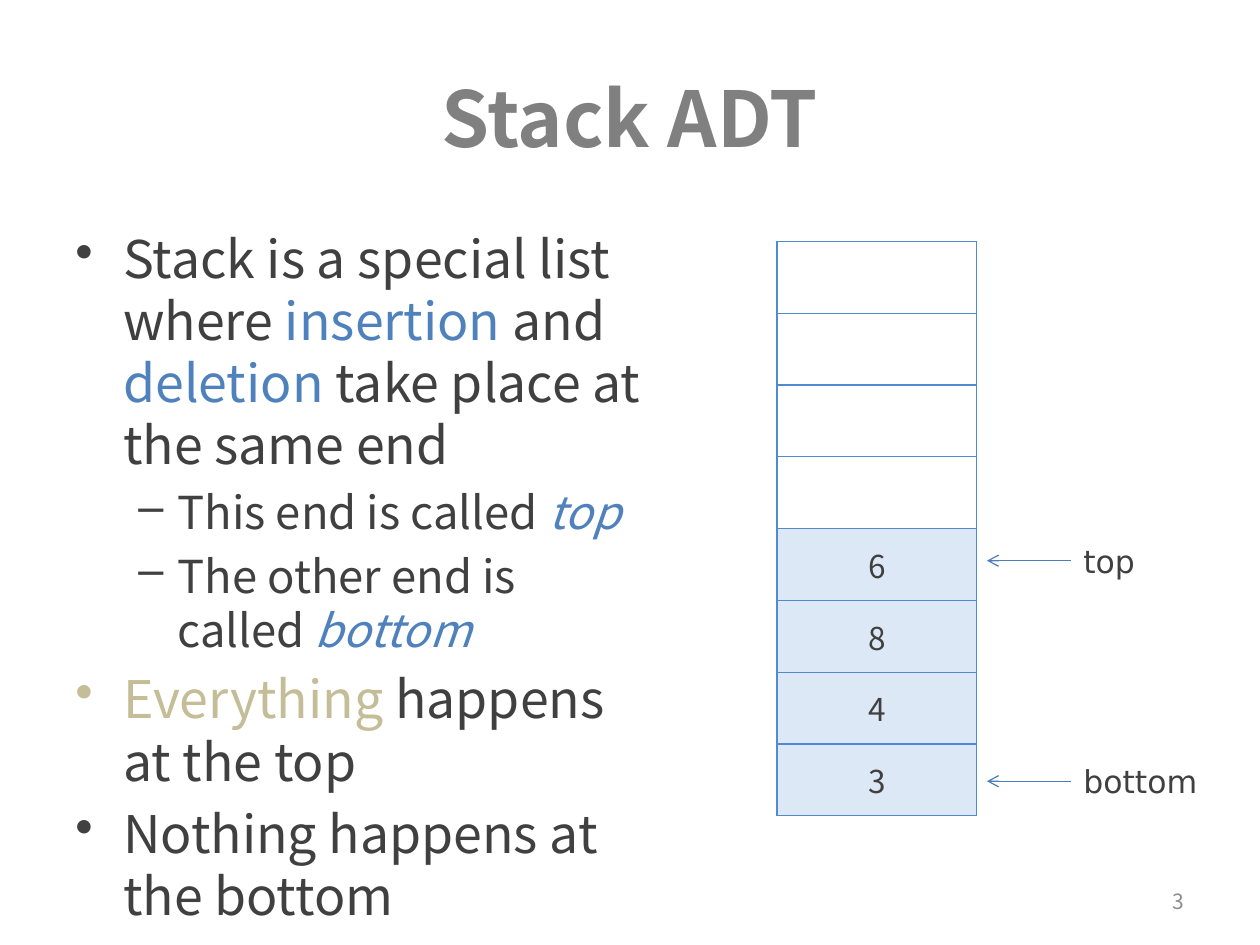
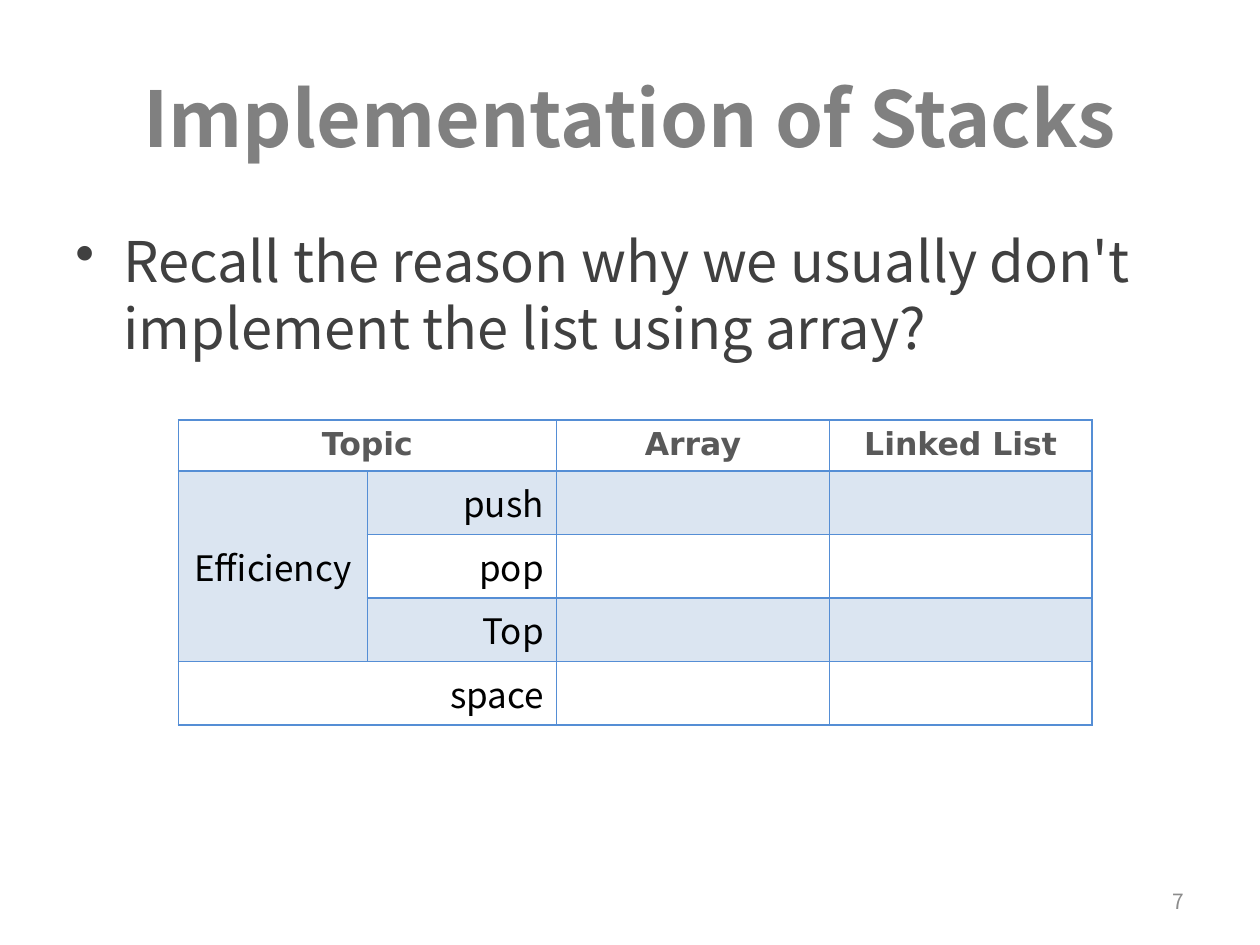
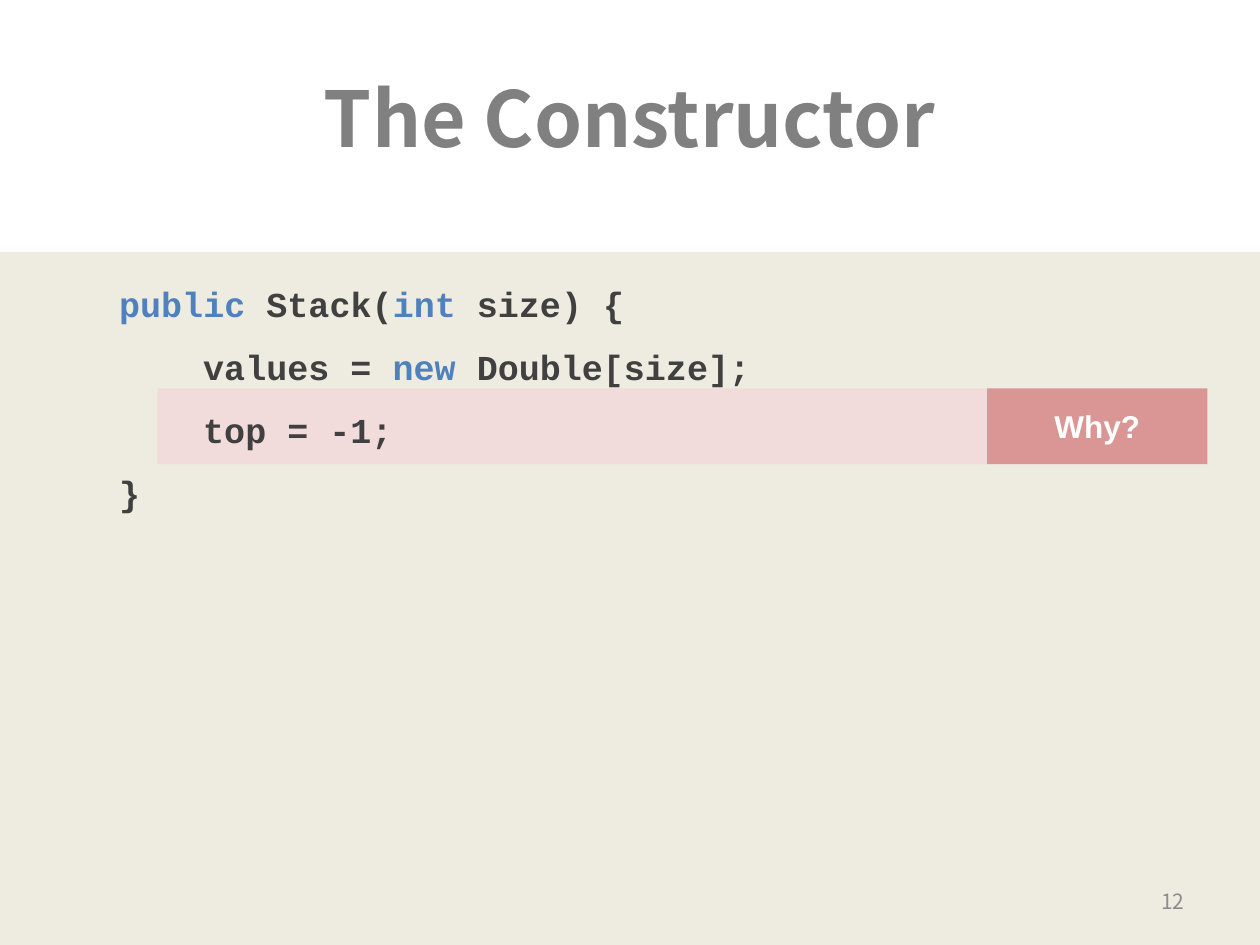
"""Builds three lecture slides about the stack data type."""
from lxml import etree
from pptx import Presentation, util as u
from pptx.dml.color import RGBColor
from pptx.enum import shapes, text
from pptx.oxml.ns import qn

CELL = u.Inches(1) // 12
COLUMNS, ROWS = 120, 90

TITLE_GREY = RGBColor(0x80, 0x80, 0x80)
NUMBER_GREY = RGBColor(0x8C, 0x8C, 0x8C)
HEADER_GREY = RGBColor(0x59, 0x59, 0x59)
BODY = RGBColor(0x40, 0x40, 0x40)
BLACK = RGBColor(0, 0, 0)
WHITE = RGBColor(0xFF, 0xFF, 0xFF)
BLUE = RGBColor(0x4F, 0x81, 0xBD)
TAN = RGBColor(0xC4, 0xBD, 0x97)
STACK_FILL = RGBColor(0xDD, 0xE8, 0xF6)
STACK_BORDER = RGBColor(0x4F, 0x8A, 0xD2)
TABLE_BORDER = RGBColor(0x55, 0x8E, 0xD5)
ARROW = RGBColor(0x4B, 0x7E, 0xBC)
CODE_BAND = RGBColor(0xEE, 0xEC, 0xE1)
PALE_RED = RGBColor(0xF2, 0xDC, 0xDB)
RED = RGBColor(0xD9, 0x96, 0x94)

SANS, LABEL_FONT, CODE_FONT, CALLOUT_FONT = "Noto Sans CJK SC", "DejaVu Sans", "Courier New", "Arial"
LEFT, CENTER, RIGHT = text.PP_ALIGN.LEFT, text.PP_ALIGN.CENTER, text.PP_ALIGN.RIGHT
MIDDLE = text.MSO_ANCHOR.MIDDLE

BULLETS = {0: ("•", 0.38, 0.38), 1: ("–", 0.81, 0.31)}


def grid(*cells):
    """Turn grid counts into lengths."""
    return [u.Emu(round(count * CELL)) for count in cells]


def style(paragraph, size, color=BODY, font=SANS, bold=False, align=LEFT):
    """Set the font and alignment of a paragraph."""
    paragraph.alignment = align
    paragraph.font.size = u.Pt(size)
    paragraph.font.name = font
    paragraph.font.bold = bold
    paragraph.font.color.rgb = color


def add_runs(paragraph, pieces):
    """Write plain strings and (string, colour, italic) pieces."""
    for piece in pieces:
        run = paragraph.add_run()
        if isinstance(piece, str):
            run.text = piece
        else:
            run.text, run.font.color.rgb, run.font.italic = piece


def add_label(slide, area, words, size, anchor=text.MSO_ANCHOR.TOP, wrap=True, **look):
    """Add a text box with one paragraph."""
    label = slide.shapes.add_textbox(*grid(*area))
    frame = label.text_frame
    frame.word_wrap = wrap
    frame.vertical_anchor = anchor
    frame.text = words
    style(frame.paragraphs[0], size, **look)
    return label


def add_slide(deck, title, number):
    """Add a slide with its title and number."""
    slide = deck.slides.add_slide(deck.slide_layouts[6])
    add_label(slide, (6, 3.6, 108, 15), title, 44, MIDDLE, color=TITLE_GREY, bold=True, align=CENTER)
    add_label(slide, (86, 83.4, 28, 4.8), str(number), 12, MIDDLE, color=NUMBER_GREY, align=RIGHT)
    return slide


def indent(paragraph, margin, hanging=0):
    """Set the left margin and hanging indent in inches."""
    properties = paragraph._p.get_or_add_pPr()
    properties.set("marL", str(u.Inches(margin)))
    properties.set("indent", str(-u.Inches(hanging)))
    return properties


def add_bullets(slide, width, sizes, items):
    """Add the bulleted body from (level, pieces) items."""
    frame = slide.shapes.add_textbox(*grid(6, 21, width, 59.4)).text_frame
    frame.word_wrap = True
    for index, (level, pieces) in enumerate(items):
        paragraph = frame.add_paragraph() if index else frame.paragraphs[0]
        style(paragraph, sizes[level])
        paragraph.level = level
        paragraph.space_before = u.Pt(0.2 * sizes[level])
        mark, margin, hanging = BULLETS[level]
        properties = indent(paragraph, margin, hanging)
        etree.SubElement(properties, qn("a:buChar")).set("char", mark)
        add_runs(paragraph, pieces)


def add_band(slide, area, color):
    """Add a plain filled rectangle."""
    band = slide.shapes.add_shape(shapes.MSO_SHAPE.RECTANGLE, *grid(*area))
    band.shadow.inherit = False
    band.fill.solid()
    band.fill.fore_color.rgb = color
    band.line.fill.background()
    return band


def add_grid_table(slide, corner, widths, heights, border, weight):
    """Add an unfilled table with all borders drawn."""
    table = slide.shapes.add_table(len(heights), len(widths),
                                   *grid(*corner, sum(widths), sum(heights))).table
    table.first_row = table.horz_banding = False
    for column, width in zip(table.columns, grid(*widths)):
        column.width = width
    for row, height in zip(table.rows, grid(*heights)):
        row.height = height
    for cell in table.iter_cells():
        cell.fill.background()
        properties = cell._tc.get_or_add_tcPr()
        for index, side in enumerate("LRTB"):
            edge = etree.Element(qn(f"a:ln{side}"), w=str(u.Pt(weight)))
            fill = etree.SubElement(edge, qn("a:solidFill"))
            etree.SubElement(fill, qn("a:srgbClr"), val=str(border))
            properties.insert(index, edge)
    return table


def fill_cell(cell, color, opacity=100):
    """Fill a table cell, with opacity in percent."""
    cell.fill.solid()
    cell.fill.fore_color.rgb = color
    if opacity < 100:
        tint = cell._tc.tcPr.find(f"{qn('a:solidFill')}/{qn('a:srgbClr')}")
        etree.SubElement(tint, qn("a:alpha")).set("val", str(opacity * 1000))


def write_cell(cell, words, size, **look):
    """Write one paragraph into a table cell."""
    cell.text = words
    style(cell.text_frame.paragraphs[0], size, **look)


def add_pointer(slide, middle, width, words):
    """Add a label with an arrow to the stack on its left."""
    label = add_label(slide, (102, middle - 2.4, width, 4.8), words, 18, wrap=False, font=LABEL_FONT)
    label.text_frame.auto_size = text.MSO_AUTO_SIZE.SHAPE_TO_FIT_TEXT
    arrow = slide.shapes.add_connector(shapes.MSO_CONNECTOR.STRAIGHT,
                                       *grid(102, middle, 94, middle))
    arrow.begin_connect(label, 1)
    arrow.line.color.rgb = ARROW
    arrow.line.width = u.Pt(0.75)
    etree.SubElement(arrow.line._get_or_add_ln(), qn("a:tailEnd")).set("type", "arrow")
    etree.SubElement(arrow._element.spPr, qn("a:effectLst"))


def add_stack(slide, capacity, values):
    """Draw a stack whose values, top first, fill its lowest cells."""
    table = add_grid_table(slide, (74, 23), [19], [6.84] * capacity, STACK_BORDER, 0.75)
    for row, value in enumerate(values, capacity - len(values)):
        cell = table.cell(row, 0)
        write_cell(cell, value, 18, align=CENTER)
        cell.vertical_anchor = MIDDLE
        fill_cell(cell, STACK_FILL)


def add_comparison(slide):
    """Add the table that compares array and linked list."""
    table = add_grid_table(slide, (17, 40), [18, 18, 26, 25], [4.85] + [6.05] * 4, TABLE_BORDER, 1)
    for column, heading in ((0, "Topic"), (2, "Array"), (3, "Linked List")):
        write_cell(table.cell(0, column), heading, 18, color=HEADER_GREY,
                   font=LABEL_FONT, bold=True, align=CENTER)
    efficiency = table.cell(1, 0)
    write_cell(efficiency, "Efficiency", 20, color=BLACK, align=CENTER)
    efficiency.vertical_anchor = MIDDLE
    fill_cell(efficiency, BLUE, 20)
    for row, column, topic in ((1, 1, "push"), (2, 1, "pop"), (3, 1, "Top"), (4, 0, "space")):
        write_cell(table.cell(row, column), topic, 20, color=BLACK, align=RIGHT)
    for row in (1, 3):
        for column in (1, 2, 3):
            fill_cell(table.cell(row, column), BLUE, 20)
    efficiency.merge(table.cell(3, 0))
    for row in (0, 4):
        table.cell(row, 0).merge(table.cell(row, 1))


def add_code(slide, lines):
    """Add code from (depth, pieces) lines, each depth four characters wide."""
    frame = slide.shapes.add_textbox(*grid(0, 24.3, COLUMNS, 25)).text_frame
    frame.word_wrap = True
    frame.margin_left = u.Inches(0.28)
    for index, (depth, pieces) in enumerate(lines):
        paragraph = frame.add_paragraph() if index else frame.paragraphs[0]
        style(paragraph, 20, font=CODE_FONT, bold=True)
        paragraph.line_spacing = 1.5
        indent(paragraph, depth * 4 / 6)
        add_runs(paragraph, pieces)


def build_stack_adt(deck):
    """Build the slide that defines the stack."""
    slide = add_slide(deck, "Stack ADT", 3)
    add_bullets(slide, 57, (29.6, 25.9), [
        (0, ["Stack is a special list where ", ("insertion", BLUE, False), " and ",
             ("deletion", BLUE, False), " take place at the same end"]),
        (1, ["This end is called ", ("top", BLUE, True)]),
        (1, ["The other end is called ", ("bottom", BLUE, True)]),
        (0, [("Everything ", TAN, False), "happens at the top"]),
        (0, ["Nothing happens at the bottom"]),
    ])
    add_stack(slide, 8, "6843")
    add_pointer(slide, 53.4, 7.3, "top")
    add_pointer(slide, 74.4, 13.3, "bottom")


def build_implementation(deck):
    """Build the slide that compares implementations."""
    slide = add_slide(deck, "Implementation of Stacks", 7)
    add_bullets(slide, 108, (32,), [
        (0, ["Recall the reason why we usually don't implement the list using array?"]),
    ])
    add_comparison(slide)


def build_constructor(deck):
    """Build the slide with the constructor's code."""
    slide = add_slide(deck, "The Constructor", 12)
    code_band = add_band(slide, (0, 24, COLUMNS, ROWS - 24), CODE_BAND)
    slide.shapes._spTree.insert(2, code_band._element)
    add_band(slide, (15, 37, 79, 7.2), PALE_RED)
    add_code(slide, [
        (1, [("public", BLUE, False), " Stack(", ("int", BLUE, False), " size) {"]),
        (2, ["values = ", ("new", BLUE, False), " Double[size];"]),
        (2, ["top = -1;"]),
        (1, ["}"]),
    ])
    question = add_band(slide, (94, 37, 21, 7.2), RED)
    question.text_frame.text = "Why?"
    question.text_frame.vertical_anchor = MIDDLE
    style(question.text_frame.paragraphs[0], 18, WHITE, CALLOUT_FONT, True, CENTER)


def main():
    """Build and save the deck."""
    deck = Presentation()
    deck.slide_width, deck.slide_height = grid(COLUMNS, ROWS)
    build_stack_adt(deck)
    build_implementation(deck)
    build_constructor(deck)
    deck.save("out.pptx")


if __name__ == "__main__":
    main()
